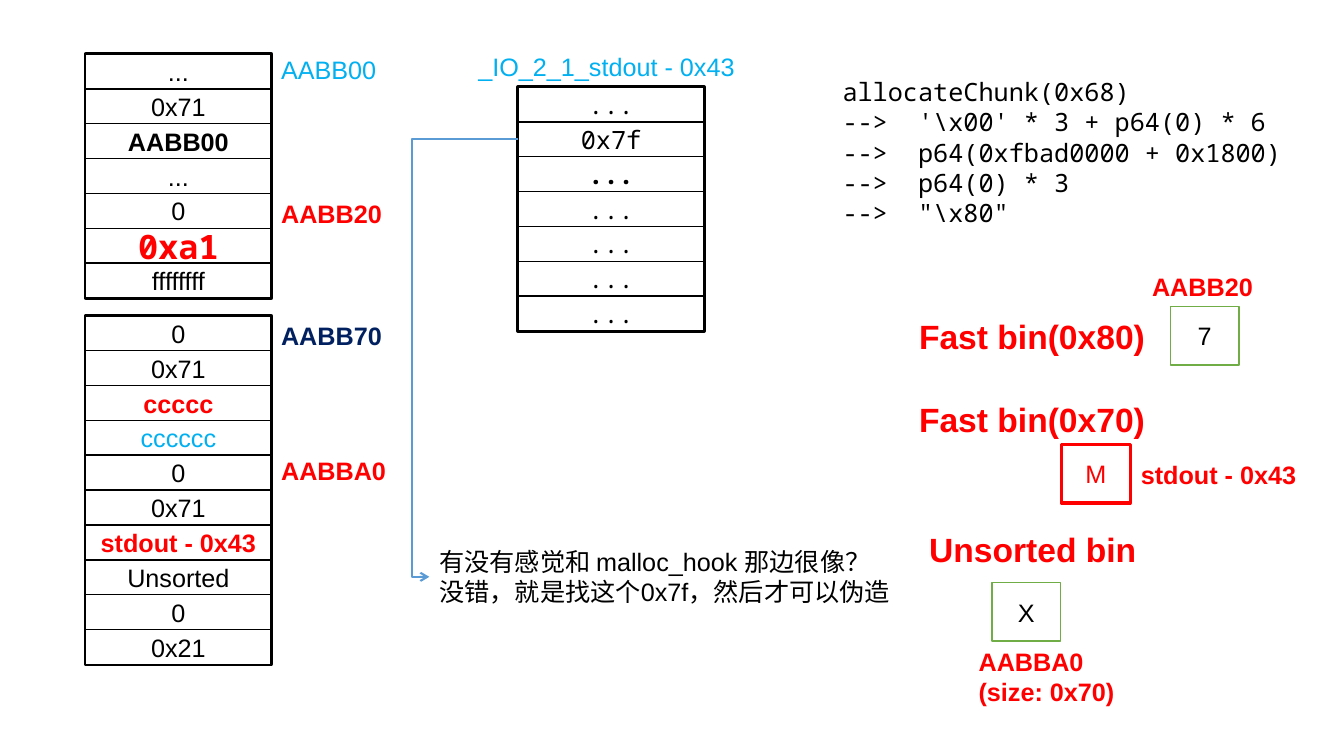
from dataclasses import dataclass

from lxml import etree
from pptx import Presentation
from pptx.dml.color import RGBColor
from pptx.enum.shapes import MSO_CONNECTOR, MSO_SHAPE
from pptx.enum.text import MSO_ANCHOR, MSO_AUTO_SIZE, PP_ALIGN
from pptx.oxml.ns import qn
from pptx.util import Pt

RECTANGLE = MSO_SHAPE.RECTANGLE
ELBOW = MSO_CONNECTOR.ELBOW
MIDDLE = MSO_ANCHOR.MIDDLE
CENTER = PP_ALIGN.CENTER
GROW = MSO_AUTO_SIZE.SHAPE_TO_FIT_TEXT


@dataclass(frozen=True)
class Theme:
    black: str = "000000"
    white: str = "FFFFFF"
    red: str = "FF0000"
    sky: str = "00B0F0"
    navy: str = "002060"
    green: str = "70AD47"
    blue: str = "5B9BD5"
    sans: str = "Arial"
    mono: str = "Noto Sans Mono"
    body: float = 18
    heading: float = 24


THEME = Theme()


@dataclass(frozen=True)
class Style:
    color: str = THEME.black
    bold: bool = False
    font: str = THEME.sans
    size: float = THEME.body


PLAIN = Style()
STRONG = Style(bold=True)
SKY = Style(THEME.sky)
NAVY = Style(THEME.navy, True)
RED = Style(THEME.red)
ALERT = Style(THEME.red, True)
HEADING = Style(THEME.red, True, size=THEME.heading)
CODE = Style(font=THEME.mono)
CODE_STRONG = Style(bold=True, font=THEME.mono)
CODE_ALERT = Style(THEME.red, True, THEME.mono, THEME.heading)

ROW_WIDTH, ROW_HEIGHT = 132.5, 24.9
BIN_WIDTH, BIN_HEIGHT = 49.2, 41.8
HEAP_LEFT, STDOUT_LEFT = 61.2, 370.3
HEAP_LABEL_LEFT = HEAP_LEFT + ROW_WIDTH
UPPER_TOP, LOWER_TOP, STDOUT_TOP = 38.6, 225.6, 62.2
CODE_INDENT = 54

UPPER_ROWS = [
    ("...", PLAIN), ("0x71", PLAIN), ("AABB00", STRONG), ("...", PLAIN),
    ("0", PLAIN), ("0xa1", CODE_ALERT), ("ffffffff", PLAIN),
]
LOWER_ROWS = [
    ("0", PLAIN), ("0x71", PLAIN), ("ccccc", ALERT), ("cccccc", SKY),
    ("0", PLAIN), ("0x71", PLAIN), ("stdout - 0x43", ALERT),
    ("Unsorted", PLAIN), ("0", PLAIN), ("0x21", PLAIN),
]
STDOUT_ROWS = [
    ("...", CODE), ("0x7f", CODE), ("...", CODE_STRONG),
    ("...", CODE), ("...", CODE), ("...", CODE), ("...", CODE),
]
LABELS = [
    (HEAP_LABEL_LEFT, 35.3, 213.8, ["AABB00"], SKY),
    (HEAP_LABEL_LEFT, 138.2, 94.3, ["AABB20"], ALERT),
    (HEAP_LABEL_LEFT, 225.6, 213.8, ["AABB70"], NAVY),
    (HEAP_LABEL_LEFT, 321.8, 94.3, ["AABBA0"], ALERT),
    (334.6, 33.1, 224.6, ["_IO_2_1_stdout - 0x43"], SKY),
    (815.8, 190.1, 94.3, ["AABB20"], ALERT),
    (649.4, 221.8, 186.5, ["Fast bin(0x80)"], HEADING),
    (649.4, 281.5, 186.5, ["Fast bin(0x70)"], HEADING),
    (807.8, 324.7, 140, ["stdout - 0x43"], ALERT),
    (656.6, 374.4, 164.2, ["Unsorted bin"], HEADING),
    (691.9, 457.9, 115.9, ["AABBA0", "(size: 0x70)"], ALERT),
    (306.7, 386.6, 342.7,
     ["有没有感觉和 malloc_hook 那边很像？", "没错，就是找这个0x7f，然后才可以伪造"], PLAIN),
]
BINS = [
    (835.9, 218.9, "7", PLAIN, THEME.green, 1),
    (758.2, 317.5, "M", RED, THEME.red, 2.25),
    (708.5, 416.2, "X", PLAIN, THEME.green, 1),
]
PAYLOAD = [
    "allocateChunk(0x68)",
    "-->\t'\\x00' * 3 + p64(0) * 6",
    "-->\tp64(0xfbad0000 + 0x1800)",
    "-->\tp64(0) * 3",
    "-->\t\"\\x80\"",
]


class Painter:
    def __init__(self, page, theme):
        self.page = page
        self.theme = theme

    def add_span(self, para, text, style):
        span = para.add_run()
        span.text = text
        span.font.name = style.font
        span.font.size = Pt(style.size)
        span.font.bold = style.bold
        span.font.color.rgb = RGBColor.from_string(style.color)

    def box(self, left, top, width, height, line, weight, shapes=None):
        shapes = shapes or self.page.shapes
        box = shapes.add_shape(RECTANGLE, Pt(left), Pt(top), Pt(width), Pt(height))
        box.shadow.inherit = False
        box.fill.solid()
        box.fill.fore_color.rgb = RGBColor.from_string(self.theme.white)
        box.line.color.rgb = RGBColor.from_string(line)
        box.line.width = Pt(weight)
        return box

    def caption(self, box, text, style):
        box.text_frame.vertical_anchor = MIDDLE
        para = box.text_frame.paragraphs[0]
        para.alignment = CENTER
        self.add_span(para, text, style)

    def stack(self, left, top, rows):
        shapes = self.page.shapes.add_group_shape().shapes
        black = self.theme.black
        self.box(left, top, ROW_WIDTH, ROW_HEIGHT * len(rows), black, 3, shapes)
        for index, (text, style) in enumerate(rows):
            row_top = top + index * ROW_HEIGHT
            cell = self.box(left, row_top, ROW_WIDTH, ROW_HEIGHT, black, 1, shapes)
            self.caption(cell, text, style)

    def label(self, left, top, width, lines, style, hanging=0):
        height = 7.2 + 1.2 * style.size * len(lines)
        box = self.page.shapes.add_textbox(Pt(left), Pt(top), Pt(width), Pt(height))
        frame = box.text_frame
        frame.word_wrap = True
        frame.auto_size = GROW
        for index, text in enumerate(lines):
            para = frame.add_paragraph() if index else frame.paragraphs[0]
            if hanging:
                properties = para._p.get_or_add_pPr()
                properties.set("marL", str(int(Pt(hanging))))
                properties.set("indent", str(-int(Pt(hanging))))
            self.add_span(para, text, style)

    def elbow_arrow(self, start, end, bend):
        arrow = self.page.shapes.add_connector(
            ELBOW, *(Pt(value) for value in start + end))
        arrow.line.color.rgb = RGBColor.from_string(self.theme.blue)
        arrow.line.width = Pt(1.5)
        properties = arrow._element.spPr
        guides = properties.find(qn("a:prstGeom")).find(qn("a:avLst"))
        etree.SubElement(guides, qn("a:gd"), name="adj1", fmla=f"val {bend}")
        etree.SubElement(properties.find(qn("a:ln")), qn("a:tailEnd"), type="arrow")
        etree.SubElement(properties, qn("a:effectLst"))


def main():
    deck = Presentation()
    deck.slide_width, deck.slide_height = Pt(960), Pt(540)
    painter = Painter(deck.slides.add_slide(deck.slide_layouts[6]), THEME)
    painter.stack(HEAP_LEFT, UPPER_TOP, UPPER_ROWS)
    painter.stack(HEAP_LEFT, LOWER_TOP, LOWER_ROWS)
    painter.stack(STDOUT_LEFT, STDOUT_TOP, STDOUT_ROWS)
    for left, top, text, style, line, weight in BINS:
        square = painter.box(left, top, BIN_WIDTH, BIN_HEIGHT, line, weight)
        painter.caption(square, text, style)
    for label in LABELS:
        painter.label(*label)
    painter.label(594.7, 51.1, 344.2, PAYLOAD, CODE, CODE_INDENT)
    painter.elbow_arrow((STDOUT_LEFT, STDOUT_TOP + 1.5 * ROW_HEIGHT), (306.7, 412), 119600)
    deck.save("out.pptx")


if __name__ == "__main__":
    main()
